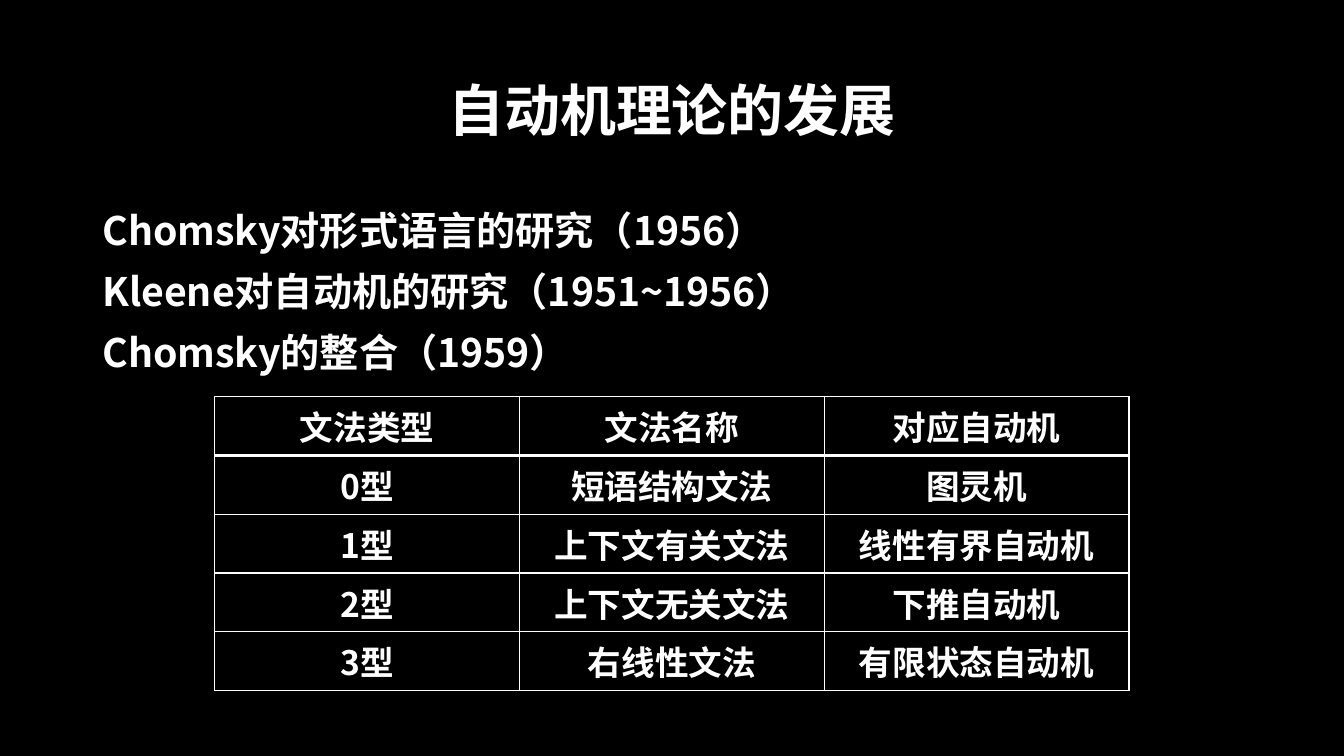
from dataclasses import dataclass

from lxml import etree
from pptx import Presentation
from pptx.dml.color import RGBColor
from pptx.enum.text import MSO_ANCHOR, PP_ALIGN
from pptx.oxml.ns import qn
from pptx.util import Cm, Pt

MID, TOP = MSO_ANCHOR.MIDDLE, MSO_ANCHOR.TOP
LEFT, CENTER = PP_ALIGN.LEFT, PP_ALIGN.CENTER
FONT = "Noto Sans CJK SC"
BLACK, WHITE = "000000", "FFFFFF"
THIN, THICK = 1, 3


@dataclass
class Block:
    lines: list[str]
    top: float
    height: float
    size: int
    align: PP_ALIGN
    anchor: MSO_ANCHOR
    pitch: float
    gap: int


BLOCKS = [
    Block(["自动机理论的发展"], 1.01, 3.68, 40, CENTER, MID, 0.9, 0),
    Block(["Chomsky对形式语言的研究（1956）",
           "Kleene对自动机的研究（1951~1956）",
           "Chomsky的整合（1959）"], 5.07, 12.09, 28, LEFT, TOP, 1.0, 5),
]
ROWS = [
    ("文法类型", "文法名称", "对应自动机"),
    ("0型", "短语结构文法", "图灵机"),
    ("1型", "上下文有关文法", "线性有界自动机"),
    ("2型", "上下文无关文法", "下推自动机"),
    ("3型", "右线性文法", "有限状态自动机"),
]


def color(code: str) -> RGBColor:
    return RGBColor.from_string(code)


def style(para, size: int, align: PP_ALIGN) -> None:
    para.alignment = align
    for run in para.runs:
        font = run.font
        font.size, font.bold, font.name = Pt(size), True, FONT
        font.color.rgb = color(WHITE)
        # East Asian text takes its own typeface
        etree.SubElement(font._element, qn("a:ea"), typeface=FONT)


def add_block(slide, block: Block) -> None:
    box = slide.shapes.add_textbox(Cm(2.33), Cm(block.top), Cm(29.21), Cm(block.height))
    frame = box.text_frame
    frame.word_wrap = True
    frame.vertical_anchor = block.anchor
    frame.text = "\n".join(block.lines)
    for para in frame.paragraphs:
        style(para, block.size, block.align)
        para.line_spacing = block.pitch
        para.space_before = para.space_after = Pt(block.gap)


def add_edge(cell, side: str, width: int) -> None:
    props = cell._tc.get_or_add_tcPr()
    line = etree.SubElement(props, qn(f"a:ln{side}"), w=str(Pt(width)))
    fill = etree.SubElement(line, qn("a:solidFill"))
    etree.SubElement(fill, qn("a:srgbClr"), val=WHITE)


def add_grid(slide) -> None:
    wide, high = 7.68, 1.48
    cols = len(ROWS[0])
    table = slide.shapes.add_table(len(ROWS), cols, Cm(5.41), Cm(10),
                                   Cm(wide * cols), Cm(high * len(ROWS))).table
    for col in table.columns:
        col.width = Cm(wide)
    for r, row in enumerate(ROWS):
        table.rows[r].height = Cm(high)
        for c, text in enumerate(row):
            cell = table.cell(r, c)
            cell.text = text
            style(cell.text_frame.paragraphs[0], 24, CENTER)
            # The rule under the header is thick; borders precede the fill
            add_edge(cell, "L", THIN)
            add_edge(cell, "R", THIN)
            add_edge(cell, "T", THICK if r == 1 else THIN)
            add_edge(cell, "B", THICK if r == 0 else THIN)
            cell.fill.solid()
            cell.fill.fore_color.rgb = color(BLACK)


def main() -> None:
    deck = Presentation()
    deck.slide_width, deck.slide_height = Cm(33.87), Cm(19.05)
    slide = deck.slides.add_slide(deck.slide_layouts[6])
    back = slide.background.fill
    back.solid()
    back.fore_color.rgb = color(BLACK)
    # Title and body
    for block in BLOCKS:
        add_block(slide, block)
    # Grammar table
    add_grid(slide)
    deck.save("out.pptx")


if __name__ == "__main__":
    main()
